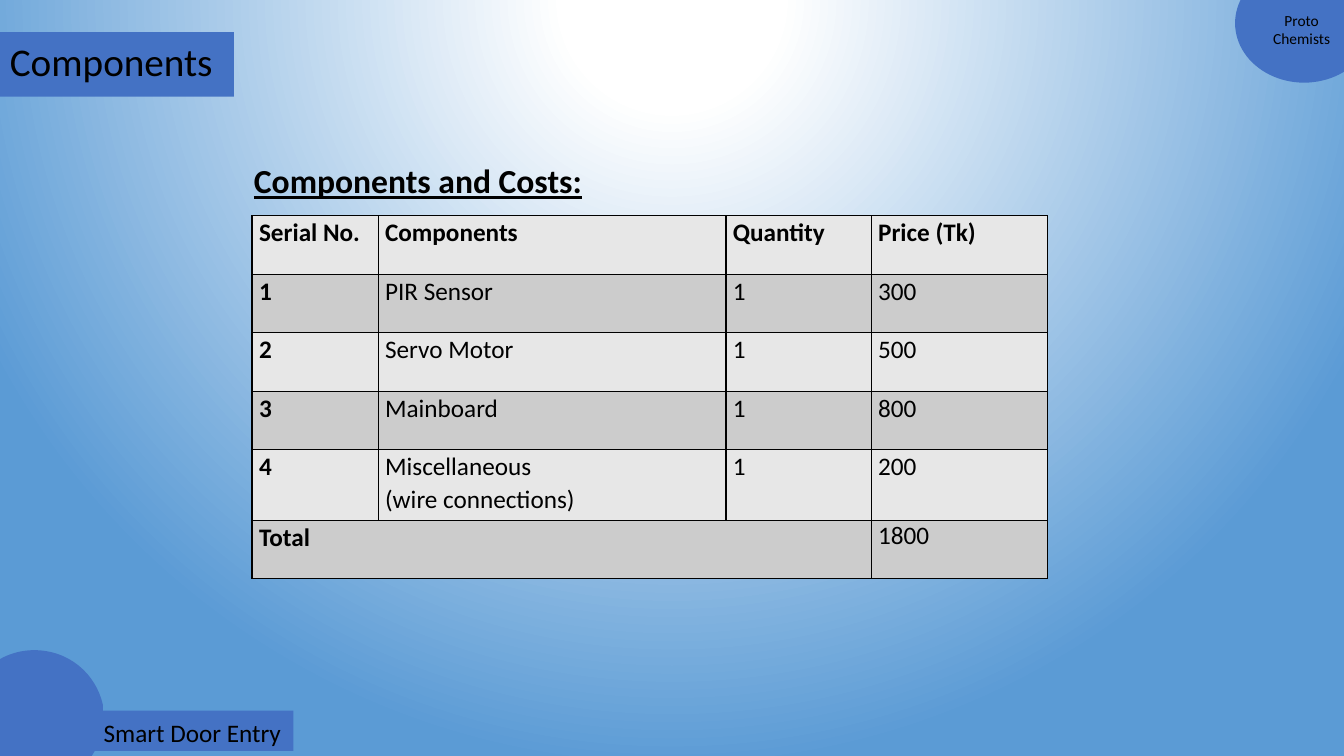
"""Build the component cost slide of the smart door entry deck."""
from pptx import Presentation
from pptx.dml.color import RGBColor
from pptx.enum.shapes import MSO_SHAPE as SHAPE
from pptx.enum.text import MSO_AUTO_SIZE as AUTO, PP_ALIGN as ALIGN
from pptx.oxml import parse_xml
from pptx.oxml.ns import nsdecls
from pptx.util import Inches, Pt

WHITE = RGBColor(0xFF, 0xFF, 0xFF)
SKY = RGBColor(0x5B, 0x9B, 0xD5)
BLUE = RGBColor(0x44, 0x72, 0xC4)
BLACK = RGBColor(0, 0, 0)
BANDS = (RGBColor(0xE7, 0xE7, 0xE7), RGBColor(0xCC, 0xCC, 0xCC))

COST_ROWS = [
    ("Serial No.", "Components", "Quantity", "Price (Tk)"),
    ("1", "PIR Sensor", "1", "300"),
    ("2", "Servo Motor", "1", "500"),
    ("3", "Mainboard", "1", "800"),
    ("4", "Miscellaneous\n(wire connections)", "1", "200"),
    ("Total", "", "", "1800"),
]
COLUMN_WIDTHS = (1.25, 3.45, 1.44, 1.75)
ROW_HEIGHTS = (0.58, 0.58, 0.58, 0.58, 0.7, 0.58)

TAG_START = (0.68, 0)
TAG_STEPS = [
    [(1.02, 0), (1.29, 0.23), (1.36, 0.54)],
    [(1.36, 0.6)],
    [(3.25, 0.6)],
    [(3.25, 1)],
    [(1.28, 1)],
    [(1.25, 1.05)],
    [(1.13, 1.23), (0.92, 1.35), (0.68, 1.35)],
    [(0.3, 1.35), (0, 1.05), (0, 0.67)],
    [(0, 0.3), (0.3, 0), TAG_START],
]


def set_format(target, values):
    """Set every attribute named in a dict of format values."""
    for name, value in values.items():
        setattr(target, name, value)


def write_text(frame, text, font, paragraph_format):
    """Write text into a frame, one paragraph for each line."""
    frame.text = text
    for paragraph in frame.paragraphs:
        set_format(paragraph, paragraph_format)
        for run in paragraph.runs:
            set_format(run.font, {"name": "Calibri", **font})
            run.font.color.rgb = BLACK


def add_label(slide, box, text, size, align=ALIGN.LEFT, **font):
    """Place a wrapping text label in a box."""
    label = slide.shapes.add_textbox(*map(Inches, box)).text_frame
    set_format(label, {"word_wrap": True, "auto_size": AUTO.SHAPE_TO_FIT_TEXT})
    write_text(label, text, {"size": Pt(size), **font}, {"alignment": align})


def paint_blue(shape):
    """Give a shape the plain blue fill."""
    shape.shadow.inherit = False
    shape.fill.solid()
    shape.fill.fore_color.rgb = BLUE
    shape.line.fill.background()


def add_background(slide):
    """Fill the slide with a round glow from the top edge."""
    stops = "".join(
        f'<a:gs pos="{percent * 1000}"><a:srgbClr val="{colour}"/></a:gs>'
        for percent, colour in ((0, WHITE), (14, WHITE), (100, SKY)))
    slide.element.cSld.insert(0, parse_xml(
        f'<p:bg {nsdecls("p", "a")}><p:bgPr><a:gradFill rotWithShape="1">'
        f'<a:gsLst>{stops}</a:gsLst><a:path path="circle">'
        '<a:fillToRect l="50000" t="-80000" r="50000" b="180000"/></a:path>'
        '</a:gradFill><a:effectLst/></p:bgPr></p:bg>'))


def add_team_badge(slide, box):
    """Place the disc for the team name at the slide corner."""
    left, top, width, height = box
    paint_blue(slide.shapes.add_shape(SHAPE.FLOWCHART_CONNECTOR, *map(Inches, box)))
    add_label(slide, (left - 0.15, top + 0.42, width + 0.25, 0.47),
              "Proto\nChemists", 11, ALIGN.CENTER)


def add_title_bar(slide, box):
    """Place the slide title on a bar."""
    left, top, width, height = box
    paint_blue(slide.shapes.add_shape(SHAPE.RECTANGLE, *map(Inches, box)))
    add_label(slide, (left, top, width + 0.26, 0.57), "Components", 28)


def add_project_tag(slide, box):
    """Place the project name on a disc joined to a bar."""
    left, top, width, height = box
    knots = [TAG_START] + [step[-1] for step in TAG_STEPS]
    corners = [(Inches(left + x), Inches(top + y)) for x, y in knots]
    builder = slide.shapes.build_freeform(*corners[0])
    builder.add_line_segments(corners[1:], close=True)
    tag = builder.convert_to_shape()
    for side, step in zip(tag.element.xpath(".//a:lnTo"), TAG_STEPS):
        if len(step) == 3:
            points = "".join(f'<a:pt x="{Inches(x)}" y="{Inches(y)}"/>' for x, y in step)
            side.getparent().replace(side, parse_xml(
                f'<a:cubicBezTo {nsdecls("a")}>{points}</a:cubicBezTo>'))
    paint_blue(tag)
    add_label(slide, (left + 1.27, top + 0.62, 2.24, 0.4), "Smart Door Entry", 18)


def draw_borders(cell):
    """Draw thin black lines on all sides of a cell."""
    for position, side in enumerate(("lnL", "lnR", "lnT", "lnB")):
        cell._tc.get_or_add_tcPr().insert(position, parse_xml(
            f'<a:{side} {nsdecls("a")} w="{Pt(1)}"><a:solidFill>'
            f'<a:srgbClr val="{BLACK}"/></a:solidFill></a:{side}>'))


def add_cost_table(slide, box):
    """Place the table of costs and the heading above it."""
    left, top, width, height = box
    costs = slide.shapes.add_table(
        len(COST_ROWS), len(COLUMN_WIDTHS), *map(Inches, box)).table
    set_format(costs, {"first_row": False, "horz_banding": False})
    for column, column_width in zip(costs.columns, COLUMN_WIDTHS):
        column.width = Inches(column_width)
    total_row = len(COST_ROWS) - 1
    for r, entries in enumerate(COST_ROWS):
        costs.rows[r].height = Inches(ROW_HEIGHTS[r])
        for c, entry in enumerate(entries):
            cell = costs.cell(r, c)
            set_format(cell, {"margin_left": Inches(0.07), "margin_right": Inches(0.07),
                              "margin_top": 0, "margin_bottom": 0})
            cell.fill.solid()
            cell.fill.fore_color.rgb = BANDS[r % 2]
            draw_borders(cell)
            is_sum = r == total_row and c > 0
            spacing = {} if is_sum else {"alignment": ALIGN.JUSTIFY, "line_spacing": 1.07}
            write_text(cell.text_frame, entry,
                       {"size": Pt(18), "bold": r == 0 or c == 0}, spacing)
    costs.cell(total_row, 0).merge(costs.cell(total_row, 2))
    add_label(slide, (left - 0.08, top - 0.6, 7.05, 0.5),
              "Components and Costs:", 24, bold=True, underline=True)


def main():
    """Build and save the slide."""
    deck = Presentation()
    set_format(deck, {"slide_width": Inches(13.33), "slide_height": Inches(7.5)})
    slide = deck.slides.add_slide(deck.slide_layouts[6])
    add_background(slide)
    add_team_badge(slide, (12.25, -0.36, 1.37, 1.18))
    add_project_tag(slide, (-0.34, 6.45, 3.25, 1.35))
    add_title_bar(slide, (0, 0.32, 2.32, 0.64))
    add_cost_table(slide, (2.5, 2.14, 7.89, 3.6))
    deck.save("out.pptx")


if __name__ == "__main__":
    main()
